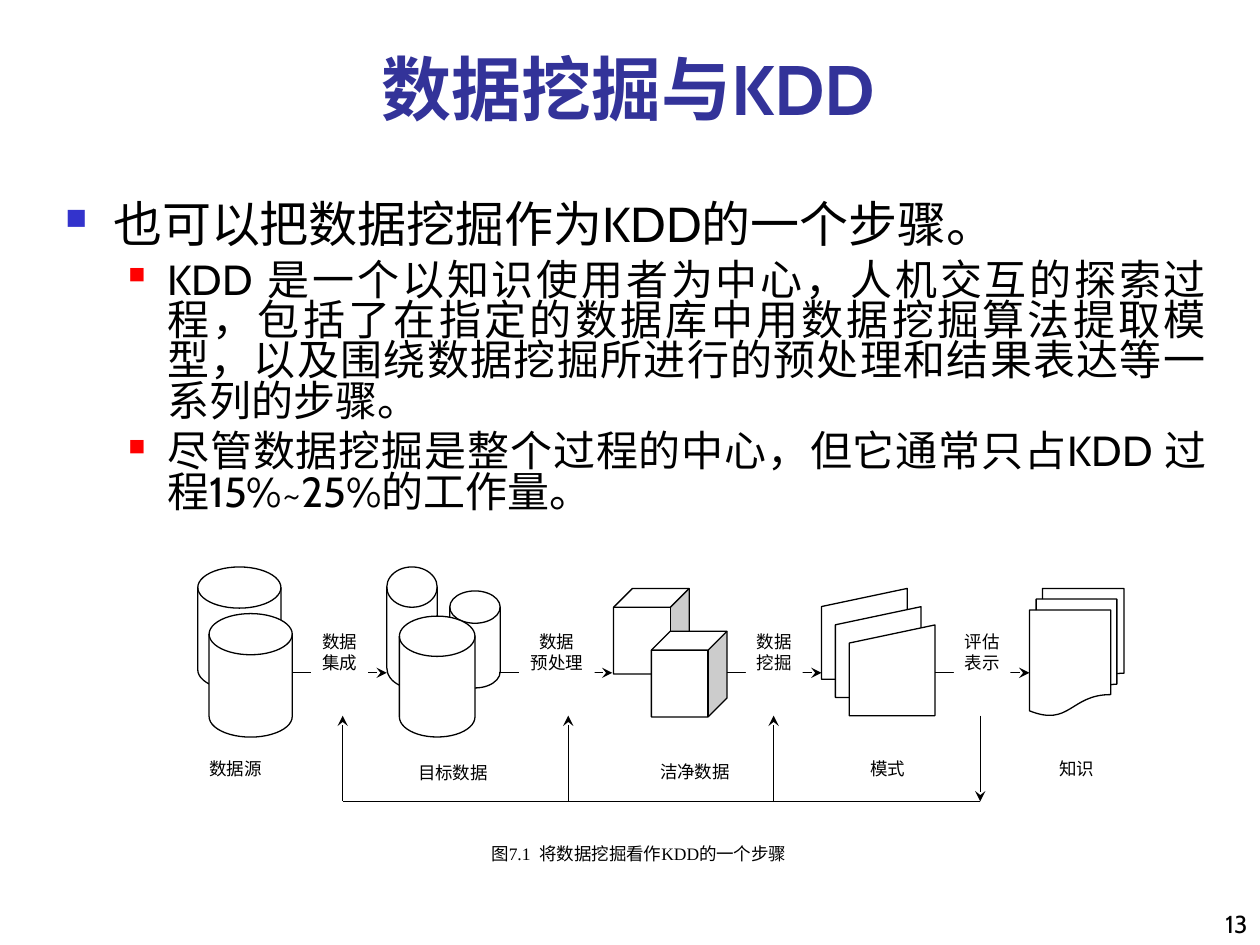
from typing import NamedTuple

from pptx import Presentation
from pptx.dml.color import RGBColor
from pptx.enum.shapes import MSO_CONNECTOR as Connector, MSO_SHAPE as Shape
from pptx.enum.text import MSO_ANCHOR as Anchor, MSO_AUTO_SIZE as AutoSize, PP_ALIGN as Align
from pptx.oxml.ns import qn
from pptx.util import Inches, Pt
from lxml.etree import SubElement

COLORS = {"ink": "000000", "paper": "FFFFFF", "title": "333399",
          "blue": "3333CC", "red": "FF0000"}
HEADING_FONT, FIGURE_FONT, BULLET_FONT = "Cabin", "Times New Roman", "Wingdings"
LINE_WIDTH = Pt(0.74)
FLOW_Y, STEP_Y, LOOP_TOP, LOOP_BOTTOM = 5.34, 5.01, 5.68, 6.36


class Item(NamedTuple):
    kind: Shape
    left: float
    top: float
    width: float
    height: float


class Label(NamedTuple):
    text: str
    left: float
    top: float
    width: float
    height: float


class Step(NamedTuple):
    text: str
    start: float
    end: float
    left: float
    width: float


class Point(NamedTuple):
    text: str
    level: int
    size: int
    align: Align
    before: int
    margin: float
    indent: float
    color: str
    bullet_size: int


DISK, CUBE = Shape.FLOWCHART_MAGNETIC_DISK, Shape.CUBE
CARD, PAGES = Shape.FLOWCHART_MANUAL_INPUT, Shape.FLOWCHART_MULTIDOCUMENT

ITEMS = [
    Item(DISK, 1.57, 4.5, 0.66, 0.98),
    Item(DISK, 1.66, 4.87, 0.66, 0.98),
    Item(DISK, 3.07, 4.5, 0.4, 0.96),
    Item(DISK, 3.57, 4.69, 0.4, 0.77),
    Item(DISK, 3.17, 4.89, 0.6, 0.96),
    *[Item(CUBE, 4.87 + 0.3 * i, 4.67 + 0.34 * i, 0.6, 0.68) for i in range(2)],
    *[Item(CARD, 6.52 + 0.11 * i, 4.67 + 0.145 * i, 0.68, 0.72) for i in range(3)],
    Item(PAGES, 8.17, 4.67, 0.75, 1.01),
]
STEPS = [
    Step("数据\n集成", 2.32, 3.07, 2.47, 0.45),
    Step("数据\n预处理", 3.96, 4.86, 4.12, 0.6),
    Step("数据\n挖掘", 5.77, 6.52, 5.92, 0.45),
    Step("评估\n表示", 7.42, 8.17, 7.57, 0.45),
]
LABELS = [
    Label("数据源", 1.42, 6.02, 0.9, 0.33),
    Label("目标数据", 3.07, 6.05, 1.05, 0.3),
    Label("洁净数据", 5.02, 6.04, 0.99, 0.32),
    Label("模式", 6.67, 6.02, 0.75, 0.33),
    Label("知识", 8.17, 6.02, 0.75, 0.33),
    Label("图7.1  将数据挖掘看作KDD的一个步骤", 2.88, 6.69, 4.38, 0.31),
]
SUB_POINT = (1, 24, Align.JUSTIFY, 6, 0.81, -0.31, "red", 55)
POINTS = [
    Point("也可以把数据挖掘作为KDD的一个步骤。", 0, 28, Align.LEFT, 7, 0.38, -0.38, "blue", 60),
    Point("KDD 是一个以知识使用者为中心，人机交互的探索过程，包括了在指定的数据库中"
          "用数据挖掘算法提取模型，以及围绕数据挖掘所进行的预处理和结果表达等一系列的步骤。",
          *SUB_POINT),
    Point("尽管数据挖掘是整个过程的中心，但它通常只占KDD 过程15%~25%的工作量。 ", *SUB_POINT),
]


def rgb(name: str) -> RGBColor:
    return RGBColor.from_string(COLORS[name])


def write(para, text: str, *, size: float, font: str, color: str = "ink",
          bold: bool = False, align: Align = Align.LEFT) -> None:
    para.alignment = align
    span = para.add_run()
    span.text = text
    span.font.size = Pt(size)
    span.font.name = font
    span.font.bold = bold
    span.font.color.rgb = rgb(color)


def place(shape, left: float, top: float, width: float, height: float) -> None:
    shape.left, shape.top = Inches(left), Inches(top)
    shape.width, shape.height = Inches(width), Inches(height)


def add_item(page, item: Item, outlined: bool = True):
    shape = page.shapes.add_shape(item.kind, *map(Inches, item[1:]))
    shape.shadow.inherit = False
    shape.fill.solid()
    shape.fill.fore_color.rgb = rgb("paper")
    if outlined:
        shape.line.color.rgb = rgb("ink")
        shape.line.width = LINE_WIDTH
    else:
        shape.line.fill.background()
    return shape


def add_label(page, label: Label) -> None:
    box = add_item(page, Item(Shape.RECTANGLE, *label[1:]), outlined=False)
    frame = box.text_frame
    frame.word_wrap = True
    frame.vertical_anchor = Anchor.TOP
    frame.margin_left = frame.margin_right = frame.margin_top = frame.margin_bottom = 0
    for index, text in enumerate(label.text.split("\n")):
        para = frame.add_paragraph() if index else frame.paragraphs[0]
        write(para, text, size=10, font=FIGURE_FONT, align=Align.CENTER)


def add_line(page, x1: float, y1: float, x2: float, y2: float, arrow: bool = True) -> None:
    line = page.shapes.add_connector(Connector.STRAIGHT, *map(Inches, (x1, y1, x2, y2)))
    line.line.color.rgb = rgb("ink")
    line.line.width = LINE_WIDTH
    if arrow:
        SubElement(line.line._get_or_add_ln(), qn("a:tailEnd"), type="stealth")
    SubElement(line._element.spPr, qn("a:effectLst"))


def add_point(para, point: Point) -> None:
    para.level = point.level
    para.line_spacing = 0.8
    para.space_before = Pt(point.before)
    write(para, point.text, size=point.size, font=HEADING_FONT, align=point.align)
    props = para._p.get_or_add_pPr()
    props.set("marL", str(Inches(point.margin)))
    props.set("indent", str(Inches(point.indent)))
    props.set("hangingPunct", "0")
    SubElement(SubElement(props, qn("a:buClr")), qn("a:srgbClr"), val=COLORS[point.color])
    SubElement(props, qn("a:buSzPct"), val=str(point.bullet_size * 1000))
    SubElement(props, qn("a:buFont"), typeface=BULLET_FONT, charset="2")
    SubElement(props, qn("a:buChar"), char="n")


def add_text_box(page, left: float, top: float, width: float, height: float):
    frame = page.shapes.add_textbox(*map(Inches, (left, top, width, height))).text_frame
    frame.word_wrap = True
    return frame


deck = Presentation()
deck.slide_width, deck.slide_height = Inches(10), Inches(7.5)
page = deck.slides.add_slide(deck.slide_layouts[5])

title = page.shapes.title
place(title, 0.83, 0.25, 8.44, 0.83)
title.text_frame.auto_size = AutoSize.NONE
title.text_frame.vertical_anchor = Anchor.BOTTOM
write(title.text_frame.paragraphs[0], "数据挖掘与KDD ", size=40, font=HEADING_FONT,
      color="title", bold=True, align=Align.CENTER)

number = add_text_box(page, 7.92, 7, 2.08, 0.5)
number.vertical_anchor = Anchor.BOTTOM
write(number.paragraphs[0], "13", size=14, font=HEADING_FONT, align=Align.RIGHT)

body = add_text_box(page, 0.42, 1.58, 9.25, 5.58)
for index, point in enumerate(POINTS):
    add_point(body.add_paragraph() if index else body.paragraphs[0], point)

for item in ITEMS:
    add_item(page, item)
for label in LABELS:
    add_label(page, label)
for step in STEPS:
    add_line(page, step.start, FLOW_Y, step.end, FLOW_Y)
    add_label(page, Label(step.text, step.left, STEP_Y, step.width, 0.67))

add_line(page, 7.78, LOOP_TOP, 7.78, LOOP_BOTTOM)
add_line(page, 7.78, LOOP_BOTTOM, 2.72, LOOP_BOTTOM, arrow=False)
for x in (2.72, 4.51, 6.14):
    add_line(page, x, LOOP_BOTTOM, x, LOOP_TOP)

deck.save("out.pptx")
